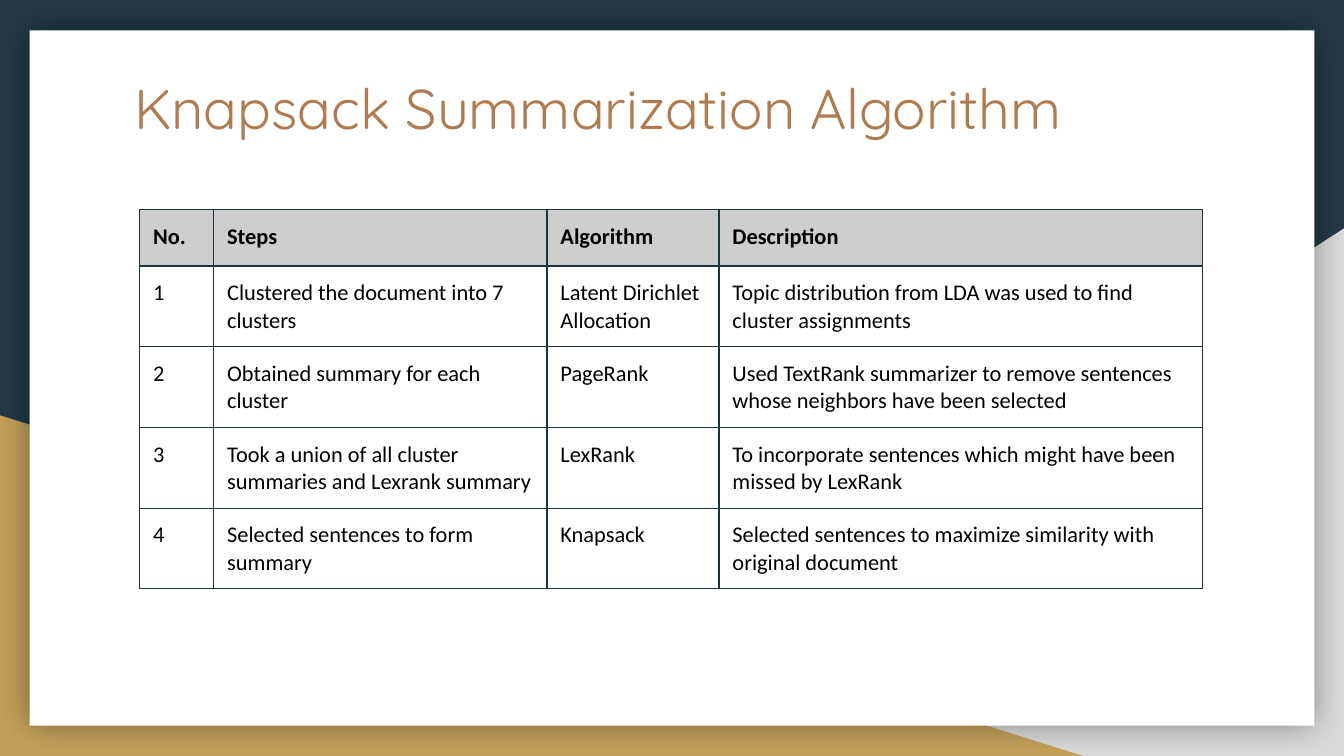
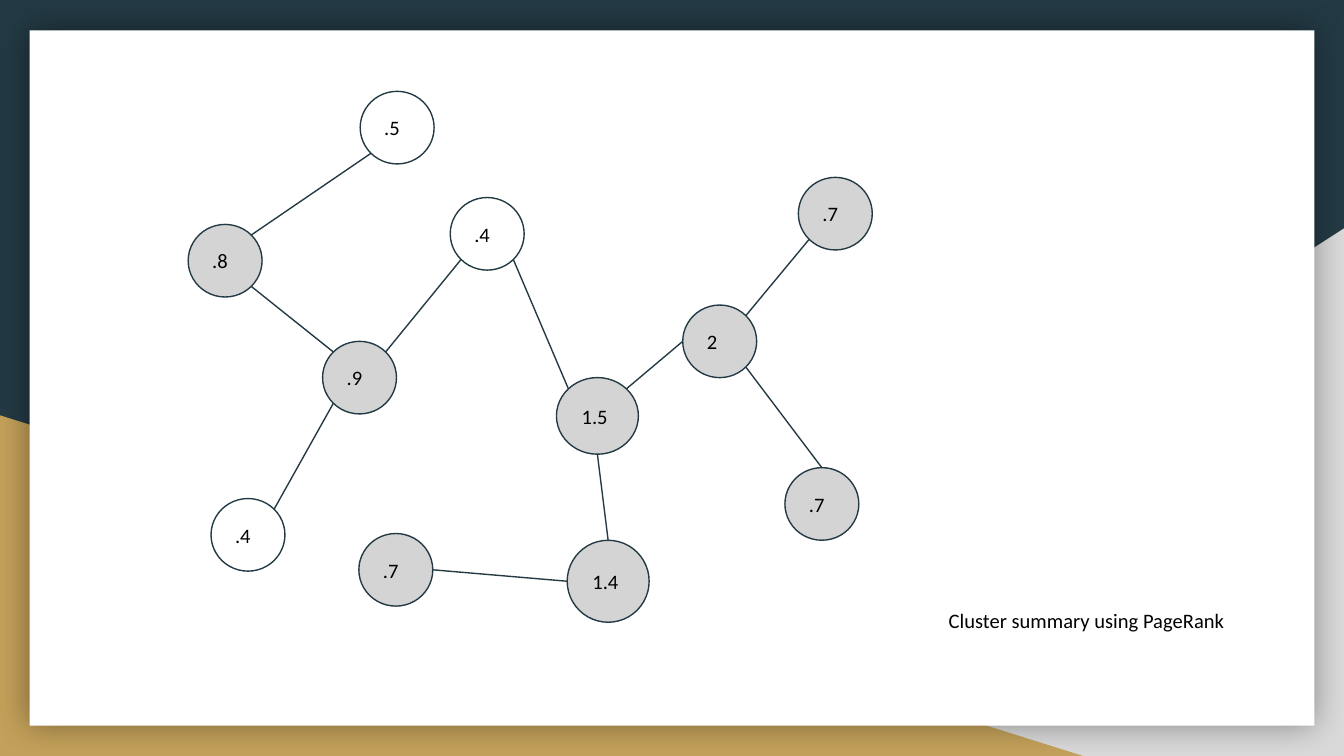
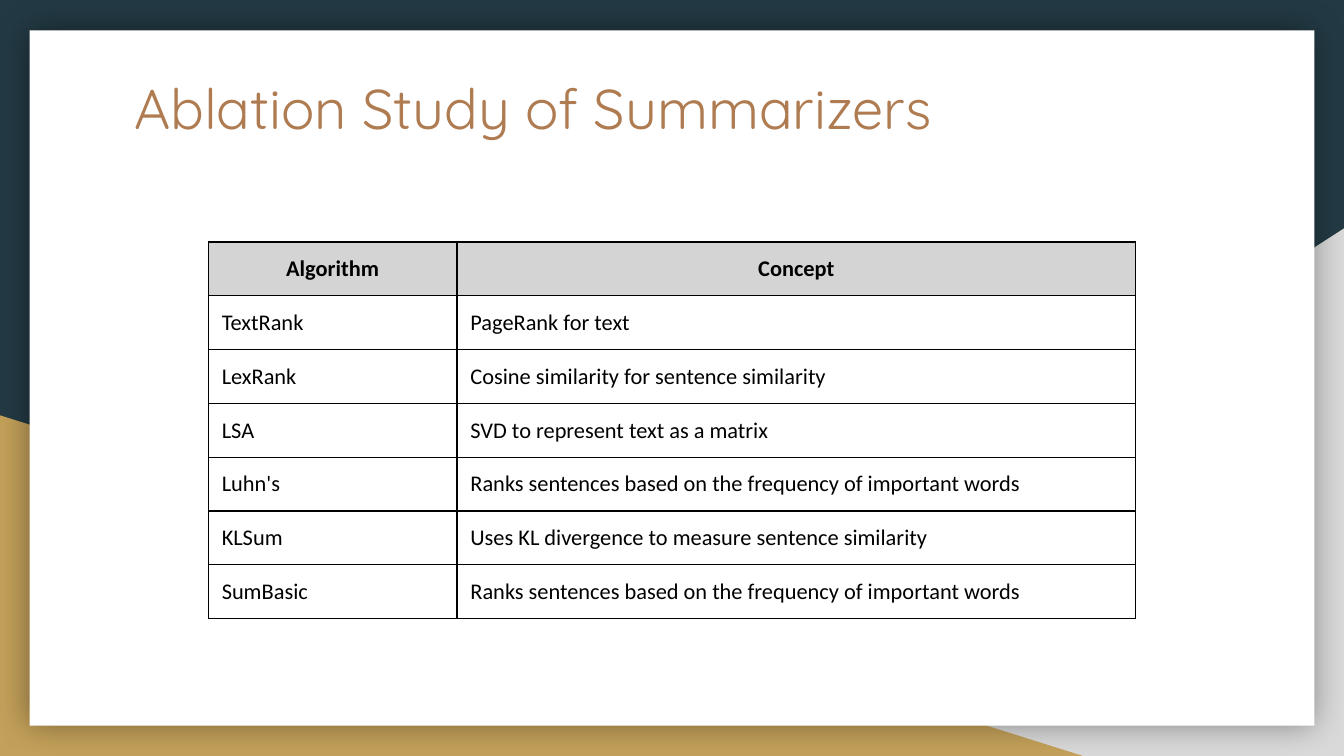
from dataclasses import dataclass
from math import cos, radians, sin

from lxml import etree
from pptx import Presentation
from pptx.dml.color import RGBColor
from pptx.enum.shapes import MSO_CONNECTOR, MSO_SHAPE
from pptx.enum.text import MSO_ANCHOR, MSO_AUTO_SIZE, PP_ALIGN
from pptx.oxml.ns import qn
from pptx.util import Emu, Inches, Pt

RECT, TRIANGLE, OVAL = MSO_SHAPE.RECTANGLE, MSO_SHAPE.RIGHT_TRIANGLE, MSO_SHAPE.OVAL
STRAIGHT = MSO_CONNECTOR.STRAIGHT
TOP, MIDDLE = MSO_ANCHOR.TOP, MSO_ANCHOR.MIDDLE
LEFT, CENTER = PP_ALIGN.LEFT, PP_ALIGN.CENTER
FIT_SHAPE = MSO_AUTO_SIZE.SHAPE_TO_FIT_TEXT

COLUMNS, ROWS = 100, 56.25
CELL = Inches(0.1)


@dataclass(frozen=True)
class Theme:
    navy: str = "233A44"
    gold: str = "C4A15A"
    grey: str = "D9D9D9"
    white: str = "FFFFFF"
    black: str = "000000"
    copper: str = "AF7B51"
    node: str = "D4D4D4"
    steps_head: str = "CECECE"
    steps_line: str = "1F333C"
    title_font: str = "Quicksand"
    body_font: str = "Calibri"
    title_size: float = 30
    table_size: float = 12
    label_size: float = 11
    line_width: float = 0.75
    shadow_blur: float = 18
    shadow_alpha: int = 40


THEME = Theme()


@dataclass(frozen=True)
class Box:
    col: float
    row: float
    cols: float
    rows: float

    def emu(self) -> list[Emu]:
        return [grid(n) for n in (self.col, self.row, self.cols, self.rows)]


@dataclass(frozen=True)
class Node:
    text: str
    col: float
    row: float
    cols: float = 5.5
    rows: float = 5.4
    selected: bool = True

    def site(self, angle: float) -> tuple[Emu, Emu]:
        x = self.col + self.cols / 2 * (1 + cos(radians(angle)))
        y = self.row + self.rows / 2 * (1 - sin(radians(angle)))
        return grid(x), grid(y)


@dataclass(frozen=True)
class Edge:
    start: str
    start_angle: float
    end: str
    end_angle: float


@dataclass(frozen=True)
class TableSpec:
    col: float
    row: float
    widths: tuple[float, ...]
    head_height: float
    body_height: float
    head_fill: str
    border: str
    anchor: MSO_ANCHOR
    head_align: PP_ALIGN
    data: tuple[tuple[str, ...], ...]


STEPS = TableSpec(
    10.4, 15.6, (5.5, 24.8, 12.8, 36), 4.2, 6, THEME.steps_head, THEME.steps_line, TOP, LEFT,
    (
        ("No.", "Steps", "Algorithm", "Description"),
        ("1", "Clustered the document into 7 clusters", "Latent Dirichlet Allocation",
         "Topic distribution from LDA was used to find cluster assignments"),
        ("2", "Obtained summary for each cluster", "PageRank",
         "Used TextRank summarizer to remove sentences whose neighbors have been selected"),
        ("3", "Took a union of all cluster summaries and Lexrank summary", "LexRank",
         "To incorporate sentences which might have been missed by LexRank"),
        ("4", "Selected sentences to form summary", "Knapsack",
         "Selected sentences to maximize similarity with original document"),
    ),
)

SUMMARIZERS = TableSpec(
    15.5, 18, (18.5, 50.5), 4, 4, THEME.node, THEME.black, MIDDLE, CENTER,
    (
        ("Algorithm", "Concept"),
        ("TextRank", "PageRank for text"),
        ("LexRank", "Cosine similarity for sentence similarity"),
        ("LSA", "SVD to represent text as a matrix"),
        ("Luhn's", "Ranks sentences based on the frequency of important words"),
        ("KLSum", "Uses KL divergence to measure sentence similarity"),
        ("SumBasic", "Ranks sentences based on the frequency of important words"),
    ),
)

NODES = {
    "top": Node(".5", 26.8, 6.8, selected=False),
    "west": Node(".8", 14, 16.7),
    "junction": Node(".9", 24, 25.4),
    "bridge": Node(".4", 33.5, 14.7, selected=False),
    "low_west": Node(".4", 15.7, 37.1, selected=False),
    "center": Node("1.5", 41.4, 28.1, 6.1, 5.7),
    "south": Node("1.4", 42.2, 40.2, 6.1, 6.1),
    "low_leaf": Node(".7", 26.7, 39.7),
    "hub": Node("2", 50.8, 22.7),
    "east": Node(".7", 59.4, 13.2),
    "low_east": Node(".7", 58.4, 34.8),
}

EDGES = (
    Edge("west", 45, "top", 225),
    Edge("west", 315, "junction", 135),
    Edge("junction", 225, "low_west", 45),
    Edge("junction", 45, "bridge", 225),
    Edge("bridge", 315, "center", 135),
    Edge("center", 270, "south", 90),
    Edge("center", 45, "hub", 180),
    Edge("east", 225, "hub", 45),
    Edge("hub", 315, "low_east", 90),
    Edge("south", 180, "low_leaf", 0),
)


def grid(units: float) -> Emu:
    return Emu(round(units * CELL))


def rgb(color: str) -> RGBColor:
    return RGBColor.from_string(color)


def style_text(tf, text: str, font: str, size: float, color: str,
               bold: bool = False, align: PP_ALIGN = LEFT) -> None:
    tf.text = text
    p = tf.paragraphs[0]
    p.alignment = align
    r = p.runs[0]
    r.font.name, r.font.size, r.font.bold = font, Pt(size), bold
    r.font.color.rgb = rgb(color)


def set_insets(target) -> None:
    target.margin_left = target.margin_right = CELL
    target.margin_top = target.margin_bottom = CELL


def add_shape(slide, kind: MSO_SHAPE, box: Box, fill: str | None, line: str | None = None):
    sp = slide.shapes.add_shape(kind, *box.emu())
    sp.shadow.inherit = False
    if fill:
        sp.fill.solid()
        sp.fill.fore_color.rgb = rgb(fill)
    else:
        sp.fill.background()
    if line:
        sp.line.color.rgb = rgb(line)
        sp.line.width = Pt(THEME.line_width)
    else:
        sp.line.fill.background()
    return sp


def add_text(slide, box: Box, text: str, font: str, size: float, color: str):
    tf = slide.shapes.add_textbox(*box.emu()).text_frame
    tf.word_wrap = True
    set_insets(tf)
    style_text(tf, text, font, size, color)
    return tf


def add_title(slide, text: str) -> None:
    add_text(slide, Box(9, 4.5, 82.1, 7.2), text, THEME.title_font, THEME.title_size, THEME.copper)


def add_glow(sp) -> None:
    effects = sp.element.spPr.find(qn("a:effectLst"))
    shadow = etree.SubElement(effects, qn("a:outerShdw"),
                              blurRad=str(Pt(THEME.shadow_blur)), dist="0", algn="ctr", rotWithShape="0")
    color = etree.SubElement(shadow, qn("a:srgbClr"), val=THEME.black)
    etree.SubElement(color, qn("a:alpha"), val=str(THEME.shadow_alpha * 1000))


def dress_layout(layout, slide) -> None:
    for placeholder in list(layout.placeholders):
        layout.shapes.element.remove(placeholder.element)
    layout.background.fill.solid()
    layout.background.fill.fore_color.rgb = rgb(THEME.navy)
    right = add_shape(slide, TRIANGLE, Box(39.2, 17, 60.8, ROWS - 17), THEME.grey)
    right.element.spPr.xfrm.set("flipH", "1")
    left = add_shape(slide, TRIANGLE, Box(0, 30.9, 80.6, ROWS - 30.9), THEME.gold)
    card = add_shape(slide, RECT, Box(2.2, 2.25, COLUMNS - 4.4, ROWS - 4.5), THEME.white)
    add_glow(card)
    for sp in (right, left, card):
        layout.shapes.element.append(sp.element)


def add_borders(cell, color: str) -> None:
    for side in ("lnL", "lnR", "lnT", "lnB"):
        ln = etree.SubElement(cell._tc.get_or_add_tcPr(), qn(f"a:{side}"), w=str(Pt(THEME.line_width)))
        fill = etree.SubElement(ln, qn("a:solidFill"))
        etree.SubElement(fill, qn("a:srgbClr"), val=color)


def add_table(slide, spec: TableSpec) -> None:
    heights = [spec.head_height] + [spec.body_height] * (len(spec.data) - 1)
    box = Box(spec.col, spec.row, sum(spec.widths), sum(heights))
    table = slide.shapes.add_table(len(heights), len(spec.widths), *box.emu()).table
    table.first_row = table.horz_banding = False
    for column, width in zip(table.columns, spec.widths):
        column.width = grid(width)
    for i, (height, texts) in enumerate(zip(heights, spec.data)):
        table.rows[i].height = grid(height)
        head = i == 0
        for j, text in enumerate(texts):
            cell = table.cell(i, j)
            set_insets(cell)
            cell.vertical_anchor = spec.anchor
            add_borders(cell, spec.border)
            if head:
                cell.fill.solid()
                cell.fill.fore_color.rgb = rgb(spec.head_fill)
            else:
                cell.fill.background()
            style_text(cell.text_frame, text, THEME.body_font, THEME.table_size, THEME.black,
                       head, spec.head_align if head else LEFT)


def add_node(slide, node: Node) -> None:
    box = Box(node.col, node.row, node.cols, node.rows)
    sp = add_shape(slide, OVAL, box, THEME.node if node.selected else None, THEME.navy)
    tf = sp.text_frame
    tf.word_wrap = True
    tf.vertical_anchor = MIDDLE
    set_insets(tf)
    style_text(tf, node.text, THEME.body_font, THEME.label_size, THEME.black)


def add_edge(slide, edge: Edge) -> None:
    start = NODES[edge.start].site(edge.start_angle)
    end = NODES[edge.end].site(edge.end_angle)
    line = slide.shapes.add_connector(STRAIGHT, *start, *end)
    line.line.color.rgb = rgb(THEME.navy)
    line.line.width = Pt(THEME.line_width)
    etree.SubElement(line.element.spPr, qn("a:effectLst"))


def add_graph(slide) -> None:
    for node in NODES.values():
        add_node(slide, node)
    for edge in EDGES:
        add_edge(slide, edge)
    caption = add_text(slide, Box(69.6, 44.3, 25.4, 3.9), "Cluster summary using PageRank",
                       THEME.body_font, THEME.label_size, THEME.black)
    caption.auto_size = FIT_SHAPE


def main() -> None:
    prs = Presentation()
    prs.slide_width, prs.slide_height = grid(COLUMNS), grid(ROWS)
    blank = prs.slide_layouts[6]
    steps, graph, ablation = [prs.slides.add_slide(blank) for _ in range(3)]
    dress_layout(blank, steps)

    add_title(steps, "Knapsack Summarization Algorithm")
    add_table(steps, STEPS)

    add_graph(graph)

    add_title(ablation, "Ablation Study of Summarizers")
    add_table(ablation, SUMMARIZERS)
    prs.save("out.pptx")


if __name__ == "__main__":
    main()
